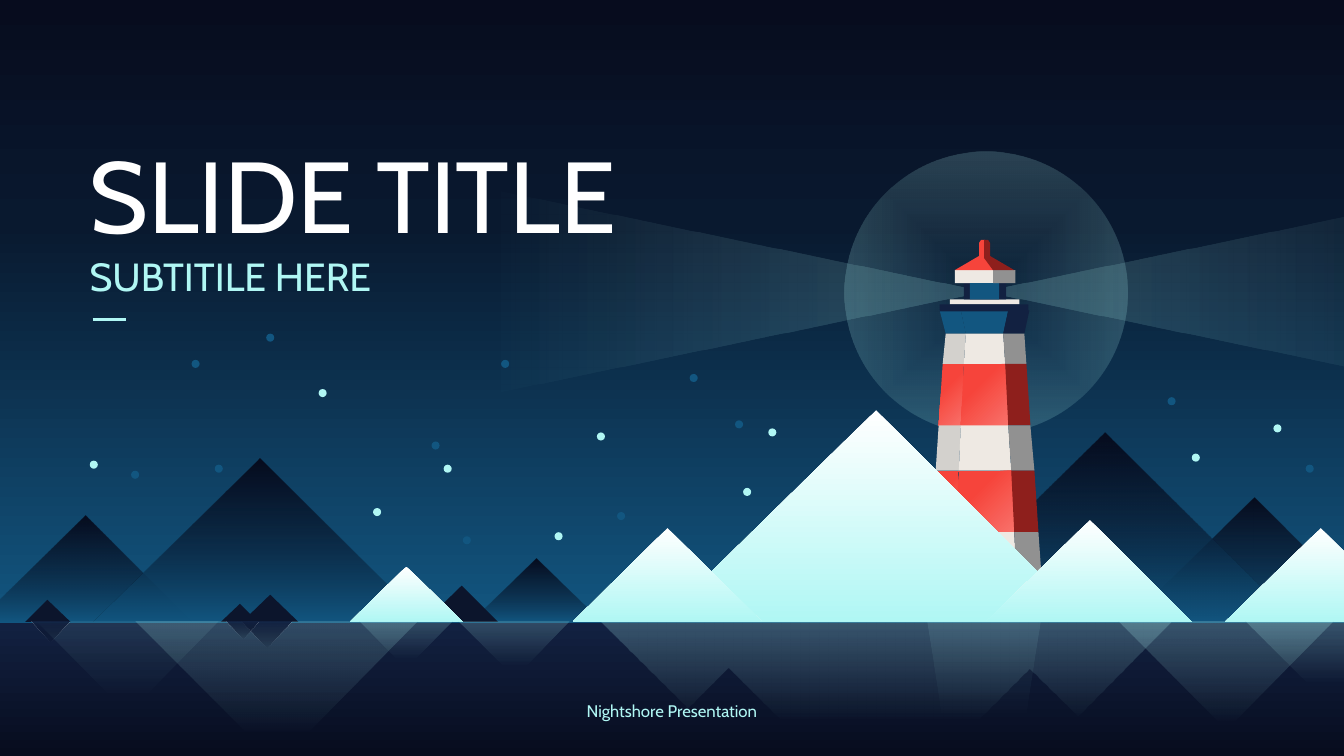
"""Builds the night lighthouse title slide."""
from lxml import etree
from pptx import Presentation
from pptx.dml.color import RGBColor
from pptx.enum.shapes import MSO_CONNECTOR, MSO_SHAPE
from pptx.enum.text import MSO_ANCHOR, MSO_AUTO_SIZE, PP_ALIGN
from pptx.oxml.ns import qn
from pptx.util import Inches, Pt

RECTANGLE, OVAL = MSO_SHAPE.RECTANGLE, MSO_SHAPE.OVAL
STRAIGHT = MSO_CONNECTOR.STRAIGHT
MIDDLE = MSO_ANCHOR.MIDDLE
GROW = MSO_AUTO_SIZE.SHAPE_TO_FIT_TEXT
LEFT, CENTER = PP_ALIGN.LEFT, PP_ALIGN.CENTER

WHITE = RGBColor(0xFF, 0xFF, 0xFF)
ICE = RGBColor(0xB0, 0xF7, 0xF4)
SEA_BLUE = RGBColor(0x12, 0x56, 0x80)
NAVY = RGBColor(0x12, 0x21, 0x41)
MIDNIGHT = RGBColor(0x07, 0x0C, 0x1E)
DUSK = RGBColor(0x09, 0x19, 0x2F)
ROCK = RGBColor(0x0C, 0x15, 0x2C)
CREAM = RGBColor(0xEE, 0xE9, 0xE3)
CREAM_DIM = RGBColor(0xD3, 0xD1, 0xCD)
GREY = RGBColor(0x91, 0x91, 0x91)
RED = RGBColor(0xF6, 0x44, 0x3B)
RED_LIGHT = RGBColor(0xF8, 0x71, 0x6A)
RED_DARK = RGBColor(0x8E, 0x1F, 0x1C)

HORIZON = 6.17
WATERLINE = 6.18
AXIS = 9.76
DOT = 0.08


def gradient(angle, *stops):
    """Describe a gradient by angle and (position, colour, opacity) stops."""
    return angle, stops


def glow(angle, start, opacity):
    """Describe an icy light that fades in from nothing."""
    return gradient(angle, (start, ICE, 0), (100, ICE, opacity))


NIGHT_SKY = gradient(90, (0, MIDNIGHT, 100), (36, DUSK, 100), (100, SEA_BLUE, 100))
NIGHT_PEAK = gradient(90, (0, MIDNIGHT, 100), (43, DUSK, 73), (100, SEA_BLUE, 100))
SNOW = gradient(90, (0, WHITE, 100), (100, ICE, 100))
WATER = gradient(90, (0, NAVY, 100), (100, MIDNIGHT, 100))
ROCK_MIRROR = gradient(270, (0, MIDNIGHT, 0), (100, NAVY, 100))
RED_PAINT = gradient(45, (35, RED, 100), (100, RED_LIGHT, 100))

CREAM_BAND = (CREAM_DIM, CREAM, GREY)
RED_BAND = (RED_PAINT, RED_PAINT, RED_DARK)
TOWER_BANDS = [(SEA_BLUE, SEA_BLUE, NAVY), CREAM_BAND, RED_BAND,
               CREAM_BAND, RED_BAND, CREAM_BAND]
TOWER_LEVELS = [
    (3.08, (9.32, 9.53, 10.00, 10.21)), (3.31, (9.38, 9.58, 9.95, 10.16)),
    (3.61, (9.35, 9.56, 9.97, 10.18)), (4.22, (9.31, 9.53, 10.00, 10.22)),
    (4.67, (9.28, 9.51, 10.03, 10.26)), (5.28, (9.23, 9.47, 10.06, 10.30)),
    (5.71, (9.20, 9.45, 10.08, 10.33))]
LANTERN = [
    (9.42, 2.97, 0.69, 0.05, CREAM), (9.56, 2.81, 0.42, 0.16, NAVY),
    (9.32, 3.02, 0.88, 0.07, NAVY), (9.47, 2.68, 0.38, 0.13, CREAM),
    (9.62, 2.81, 0.29, 0.16, SEA_BLUE), (9.85, 2.68, 0.22, 0.13, GREY)]
ROOF_LIT = [(9.85, 2.68), (9.47, 2.68), (9.71, 2.54), (9.71, 2.41),
            (9.73, 2.38), (9.77, 2.38), (9.77, 2.56)]
ROOF_SHADE = [(10.06, 2.68), (9.85, 2.68), (9.76, 2.56), (9.76, 2.38),
              (9.80, 2.38), (9.82, 2.41), (9.82, 2.54)]
TOWER_MIRROR = [
    (9.20, 6.17), (9.28, 6.68), (9.38, 7.34), (9.32, 7.45), (9.32, 7.48),
    (9.42, 7.48), (9.42, 7.51), (9.56, 7.51), (9.56, 7.58), (9.47, 7.58),
    (9.47, 7.65), (9.71, 7.72), (9.71, 7.77), (9.73, 7.79)]
RANGE_MIRROR = [
    (10.69, 7.11), (10.21, 6.64), (8.73, 8.12), (7.23, 6.63), (6.83, 7.03),
    (5.96, 6.17), (11.62, 6.17)]

FAR_PEAKS = [(-0.22, 0.85, 1.90, 5.12), (0.93, 2.58, 4.21, 4.55),
             (4.68, 5.32, 5.96, 5.54), (11.18, 12.44, 13.68, 4.94)]
TOWER_PEAK = (9.05, 10.96, 12.85, 4.29)
ROCKS = [(4.21, 4.58, 4.94, 5.81), (2.40, 2.68, 2.96, 5.90),
         (2.19, 2.38, 2.56, 5.99), (0.25, 0.47, 0.70, 5.95)]
BACK_SNOW = [(3.47, 4.03, 4.59, 5.62), (12.15, 13.10, 14.03, 5.24)]
FRONT_SNOW = [(6.55, 8.69, 10.79, 4.07), (9.78, 10.81, 11.82, 5.16)]
LAST_SNOW = (5.68, 6.62, 7.56, 5.24)
PEAK_MIRRORS = [
    ((0.36, 1.27, 2.17, 7.08), 21, 10), ((1.34, 2.75, 4.14, 7.57), 22, 20),
    ((4.55, 5.11, 5.65, 6.72), 22, 20), ((11.09, 12.16, 13.22, 7.24), 7, 24),
    ((12.35, 13.20, 14.03, 7.01), 28, 24), ((3.57, 4.03, 4.49, 6.63), 22, 20)]
ROCK_MIRRORS = [(2.40, 2.65, 2.89, 6.42), (2.25, 2.41, 2.56, 6.33),
                (0.31, 0.50, 0.69, 6.36)]
BRIGHT_STARS = [
    (3.70, 5.04), (5.50, 5.28), (5.92, 4.29), (0.89, 4.57), (3.16, 3.86),
    (4.40, 4.61), (12.63, 4.21), (7.37, 4.84), (11.82, 4.50), (7.62, 4.25)]
DIM_STARS = [
    (2.13, 4.61), (4.28, 4.38), (4.97, 3.57), (6.84, 3.71), (1.90, 3.57),
    (1.30, 4.67), (7.29, 4.17), (12.95, 4.61), (11.58, 3.94), (4.59, 5.32),
    (6.12, 5.08), (2.64, 3.31)]


def paint(shape, fill):
    """Fill a shape with a colour or gradient; angle None means outward."""
    shape.shadow.inherit = False
    shape.line.fill.background()
    if isinstance(fill, RGBColor):
        shape.fill.solid()
        shape.fill.fore_color.rgb = fill
        return
    angle, stops = fill
    shape.fill.background()
    properties = shape._element.spPr
    element = etree.Element(qn("a:gradFill"), rotWithShape="1")
    stop_list = etree.SubElement(element, qn("a:gsLst"))
    for position, colour, opacity in stops:
        stop = etree.SubElement(stop_list, qn("a:gs"), pos=str(position * 1000))
        tint = etree.SubElement(stop, qn("a:srgbClr"), val=str(colour))
        if opacity < 100:
            etree.SubElement(tint, qn("a:alpha"), val=str(opacity * 1000))
    if angle is None:
        outward = etree.SubElement(element, qn("a:path"), path="shape")
        etree.SubElement(outward, qn("a:fillToRect"),
                         l="50000", t="50000", r="50000", b="50000")
    else:
        etree.SubElement(element, qn("a:lin"), ang=str(angle * 60000), scaled="0")
    properties.replace(properties.find(qn("a:noFill")), element)


def add_preset(slide, kind, left, top, width, height, fill):
    """Add a painted preset shape."""
    shape = slide.shapes.add_shape(
        kind, Inches(left), Inches(top), Inches(width), Inches(height))
    paint(shape, fill)


def add_polygon(slide, points, fill):
    """Add a painted closed outline."""
    corners = [(Inches(x), Inches(y)) for x, y in points]
    builder = slide.shapes.build_freeform(*corners[0])
    builder.add_line_segments(corners[1:], close=True)
    paint(builder.convert_to_shape(), fill)


def add_peak(slide, peak, fill):
    """Add a triangle that stands on, or hangs from, the horizon."""
    left, tip_x, right, tip_y = peak
    add_polygon(slide, [(left, HORIZON), (right, HORIZON), (tip_x, tip_y)], fill)


def add_peaks(slide, peaks, fill):
    """Add several triangles of one fill."""
    for peak in peaks:
        add_peak(slide, peak, fill)


def add_beams(slide):
    """Add the two light beams."""
    for end, angle in ((15.03, 180), (4.50, 0)):
        add_polygon(slide, [(AXIS, 2.89), (end, 1.80), (end, 3.98)],
                    glow(angle, 8, 20))


def add_lighthouse(slide):
    """Add the striped tower with its lantern and roof."""
    for (top, upper), (bottom, lower), fills in zip(
            TOWER_LEVELS, TOWER_LEVELS[1:], TOWER_BANDS):
        for side, fill in enumerate(fills):
            add_polygon(slide, [(upper[side], top), (upper[side + 1], top),
                                (lower[side + 1], bottom), (lower[side], bottom)], fill)
    for part in LANTERN:
        add_preset(slide, RECTANGLE, *part)
    add_polygon(slide, ROOF_LIT, RED)
    add_polygon(slide, ROOF_SHADE, RED_DARK)


def add_reflections(slide):
    """Add the mirrored peaks and tower in the water."""
    for peak, start, opacity in PEAK_MIRRORS:
        add_peak(slide, peak, glow(270, start, opacity))
    right_half = [(2 * AXIS - x, y) for x, y in reversed(TOWER_MIRROR)]
    add_polygon(slide, TOWER_MIRROR + right_half, glow(270, 43, 10))
    add_polygon(slide, RANGE_MIRROR, glow(270, 50, 24))


def add_text(slide, left, top, width, height, text, size, colour, alignment=LEFT):
    """Add a one-line text box."""
    box = slide.shapes.add_textbox(
        Inches(left), Inches(top), Inches(width), Inches(height))
    frame = box.text_frame
    frame.text = text
    frame.word_wrap = False
    frame.auto_size = GROW
    frame.vertical_anchor = MIDDLE
    paragraph = frame.paragraphs[0]
    paragraph.alignment = alignment
    font = paragraph.runs[0].font
    font.name, font.size, font.color.rgb = "Cabin", Pt(size), colour


def add_rule(slide):
    """Add the short line under the subtitle."""
    rule = slide.shapes.add_connector(
        STRAIGHT, Inches(0.92), Inches(3.17), Inches(1.25), Inches(3.17))
    rule.line.color.rgb = ICE
    rule.line.width = Pt(1.5)
    etree.SubElement(rule._element.spPr, qn("a:effectLst"))


def main():
    """Build and save the slide."""
    presentation = Presentation()
    presentation.slide_width, presentation.slide_height = Inches(13.33), Inches(7.5)
    slide = presentation.slides.add_slide(presentation.slide_layouts[6])
    add_preset(slide, RECTANGLE, 0, 0, 13.33, WATERLINE, NIGHT_SKY)
    add_preset(slide, OVAL, 8.38, 1.5, 2.8, 2.8, glow(None, 0, 20))
    add_peaks(slide, FAR_PEAKS, NIGHT_PEAK)
    add_beams(slide)
    add_peak(slide, TOWER_PEAK, NIGHT_PEAK)
    add_peaks(slide, ROCKS, ROCK)
    add_peaks(slide, BACK_SNOW, SNOW)
    add_lighthouse(slide)
    add_peaks(slide, FRONT_SNOW, SNOW)
    add_preset(slide, RECTANGLE, 0, WATERLINE, 13.33, 1.32, WATER)
    add_reflections(slide)
    for stars, colour in ((BRIGHT_STARS, ICE), (DIM_STARS, SEA_BLUE)):
        for left, top in stars:
            add_preset(slide, OVAL, left, top, DOT, DOT, colour)
    add_peak(slide, LAST_SNOW, SNOW)
    add_text(slide, 0.79, 1.26, 5.49, 1.31, "SLIDE TITLE", 72, WHITE)
    add_text(slide, 5.66, 6.9, 2.01, 0.3, "Nightshore Presentation", 12, ICE, CENTER)
    add_peaks(slide, ROCK_MIRRORS, ROCK_MIRROR)
    add_text(slide, 0.79, 2.45, 3.02, 0.57, "SUBTITILE HERE", 28, ICE)
    add_rule(slide)
    presentation.save("out.pptx")


if __name__ == "__main__":
    main()
